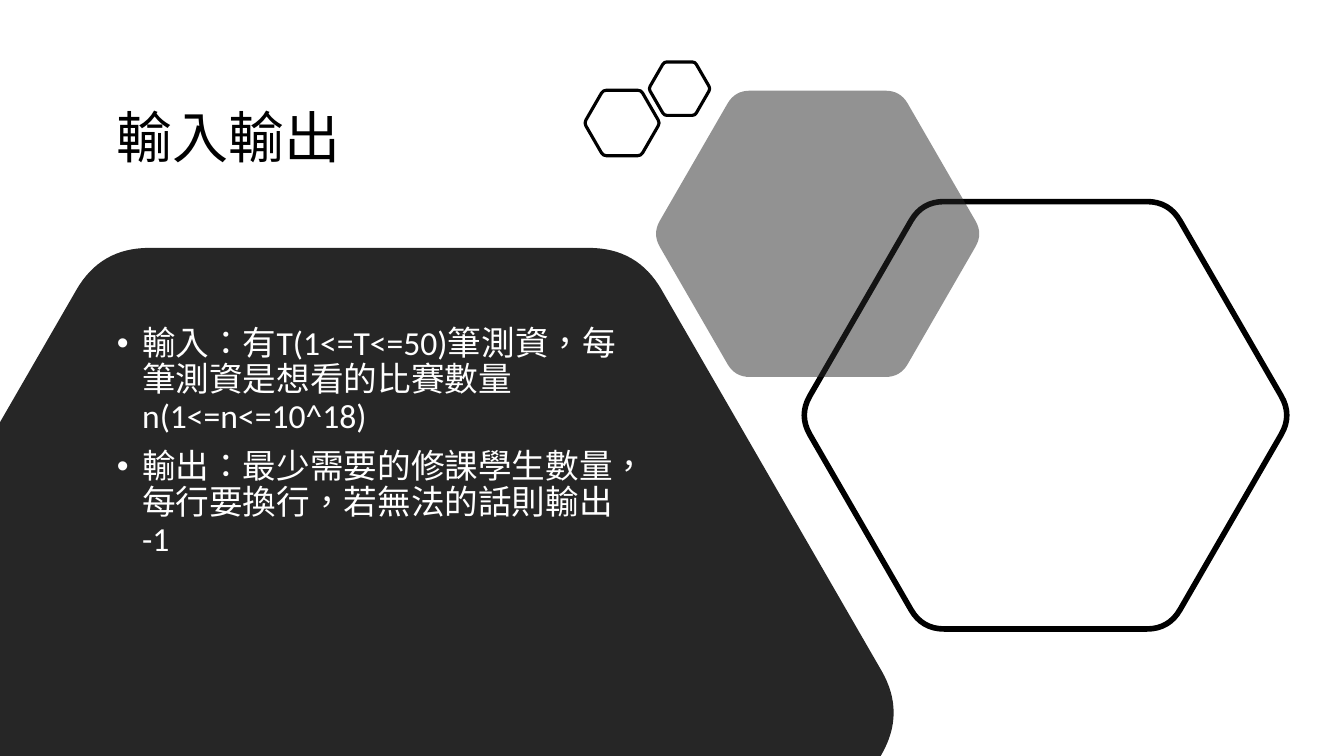
"""Build the input and output slide with its rounded hexagons."""
import math
from dataclasses import dataclass
from typing import Optional

import lxml.etree
import pptx
import pptx.dml.color
import pptx.enum.lang
import pptx.enum.text
import pptx.oxml.ns
import pptx.util
from pptx.util import Inches

COLOURS = {"ink": "000000", "panel": "262626", "paper": "FFFFFF"}
FONT = "Calibri"
SLIDE_WIDTH, SLIDE_HEIGHT = 13.33, 7.5
CORNER_SHARE = 0.09

Point = tuple[float, float]


@dataclass(frozen=True)
class Hexagon:
    """A regular flat-topped hexagon, measured in inches."""
    centre_x: float
    centre_y: float
    height: float
    fill: Optional[str] = None
    opacity: int = 100
    line_points: float = 0


HEXAGONS = [
    Hexagon(3.66, 7.07, 9.22, fill="panel"),
    Hexagon(10.37, 4.12, 4.24, line_points=4),
    Hexagon(8.11, 2.32, 2.84, fill="panel", opacity=50),
    Hexagon(6.17, 1.22, 0.65, line_points=2.25),
    Hexagon(6.74, 0.88, 0.53, line_points=2.25),
]
TITLE = "輸入輸出"
BULLETS = [
    "輸入：有T(1<=T<=50)筆測資，每筆測資是想看的比賽數量n(1<=n<=10^18)",
    "輸出：最少需要的修課學生數量，每行要換行，若無法的話則輸出 -1",
]


def colour(name: str) -> pptx.dml.color.RGBColor:
    """Return a named colour."""
    return pptx.dml.color.RGBColor.from_string(COLOURS[name])


def between(start: Point, end: Point, share: float) -> Point:
    """Return the point at a share of the way from start to end."""
    return (start[0] + (end[0] - start[0]) * share,
            start[1] + (end[1] - start[1]) * share)


def rounded_outline(hexagon: Hexagon) -> tuple[list[Point], dict[Point, Point]]:
    """Return entry, bend and leave points, and the corner behind each bend."""
    side = hexagon.height / math.sqrt(3)
    corners = [(hexagon.centre_x + side * math.cos(math.radians(60 * turn)),
                hexagon.centre_y + side * math.sin(math.radians(60 * turn)))
               for turn in range(6)]
    outline, bends = [], {}
    for index, corner in enumerate(corners):
        entry = between(corner, corners[index - 1], CORNER_SHARE)
        leave = between(corner, corners[(index + 1) % 6], CORNER_SHARE)
        bend = between(between(entry, leave, 0.5), corner, 0.5)
        outline += [entry, bend, leave]
        bends[bend] = corner
    return outline, bends


def clip(outline: list[Point], axis: int, limit: float, sign: int) -> list[Point]:
    """Keep the part of an outline on one side of a slide edge."""
    kept = []
    for index, current in enumerate(outline):
        previous = outline[index - 1]
        before = (previous[axis] - limit) * sign
        after = (current[axis] - limit) * sign
        if (before >= 0) != (after >= 0):
            kept.append(between(previous, current, before / (before - after)))
        if after >= 0:
            kept.append(current)
    return kept


def curve_bends(shape, outline: list[Point], bends: dict[Point, Point]) -> None:
    """Turn the two lines around each bend into one curve."""
    name = pptx.oxml.ns.qn
    route = shape.element.find(".//" + name("a:path"))
    steps = list(route)
    for index, point in enumerate(outline):
        if point not in bends:
            continue
        curve = lxml.etree.SubElement(route, name("a:cubicBezTo"))
        for end in (outline[index - 1], outline[index + 1]):
            x, y = between(end, bends[point], 2 / 3)
            lxml.etree.SubElement(curve, name("a:pt"),
                                  x=str(Inches(x) - shape.left),
                                  y=str(Inches(y) - shape.top))
        curve.append(steps[index + 1][0])
        route.replace(steps[index], curve)
        route.remove(steps[index + 1])


def draw_hexagon(page, hexagon: Hexagon) -> None:
    """Draw one hexagon, trimmed to the slide."""
    outline, bends = rounded_outline(hexagon)
    outline = clip(clip(outline, 0, 0, 1), 1, SLIDE_HEIGHT, -1)
    points = [(Inches(x), Inches(y)) for x, y in outline]
    builder = page.shapes.build_freeform(*points[0])
    builder.add_line_segments(points[1:], close=True)
    shape = builder.convert_to_shape()
    curve_bends(shape, outline, bends)
    shape.shadow.inherit = False
    if hexagon.fill:
        shape.fill.solid()
        shape.fill.fore_color.rgb = colour(hexagon.fill)
        if hexagon.opacity < 100:
            tint = shape.element.spPr.find(".//" + pptx.oxml.ns.qn("a:srgbClr"))
            lxml.etree.SubElement(tint, pptx.oxml.ns.qn("a:alpha"),
                                  val=str(hexagon.opacity * 1000))
    else:
        shape.fill.background()
    if hexagon.line_points:
        shape.line.color.rgb = colour("ink")
        shape.line.width = pptx.util.Pt(hexagon.line_points)
    else:
        shape.line.fill.background()


def place(box, left: float, top: float, width: float, height: float,
          anchor: pptx.enum.text.MSO_ANCHOR) -> None:
    """Move a placeholder and set up its text frame."""
    box.left, box.top = Inches(left), Inches(top)
    box.width, box.height = Inches(width), Inches(height)
    box.text_frame.word_wrap = True
    box.text_frame.auto_size = pptx.enum.text.MSO_AUTO_SIZE.NONE
    box.text_frame.vertical_anchor = anchor


def write(para, text: str, size: int, ink: str) -> None:
    """Add one formatted run to a left-aligned paragraph."""
    para.alignment = pptx.enum.text.PP_ALIGN.LEFT
    para.line_spacing = 0.9
    span = para.add_run()
    span.text = text
    span.font.name = FONT
    span.font.size = pptx.util.Pt(size)
    span.font.color.rgb = colour(ink)
    span.font.language_id = pptx.enum.lang.MSO_LANGUAGE_ID.TRADITIONAL_CHINESE


def add_bullet(para) -> None:
    """Give a paragraph a hanging bullet."""
    para.space_before = pptx.util.Pt(10)
    properties = para._p.get_or_add_pPr()
    properties.set("marL", str(Inches(0.25)))
    properties.set("indent", str(Inches(-0.25)))
    lxml.etree.SubElement(properties, pptx.oxml.ns.qn("a:buFont"), typeface="Arial")
    lxml.etree.SubElement(properties, pptx.oxml.ns.qn("a:buChar"), char="•")


def main() -> None:
    """Build and save the deck."""
    deck = pptx.Presentation()
    deck.slide_width, deck.slide_height = Inches(SLIDE_WIDTH), Inches(SLIDE_HEIGHT)
    page = deck.slides.add_slide(deck.slide_layouts[1])
    title, body = page.shapes.title, page.placeholders[1]

    place(title, 1.06, 0.49, 4.68, 1.8, pptx.enum.text.MSO_ANCHOR.MIDDLE)
    write(title.text_frame.paragraphs[0], TITLE, 40, "ink")

    for hexagon in HEXAGONS:
        draw_hexagon(page, hexagon)

    place(body, 1.06, 3.19, 5.19, 3.38, pptx.enum.text.MSO_ANCHOR.TOP)
    frame = body.text_frame
    for index, text in enumerate(BULLETS):
        para = frame.add_paragraph() if index else frame.paragraphs[0]
        write(para, text, 24, "paper")
        add_bullet(para)
    body.element.getparent().append(body.element)

    deck.save("out.pptx")


main()
